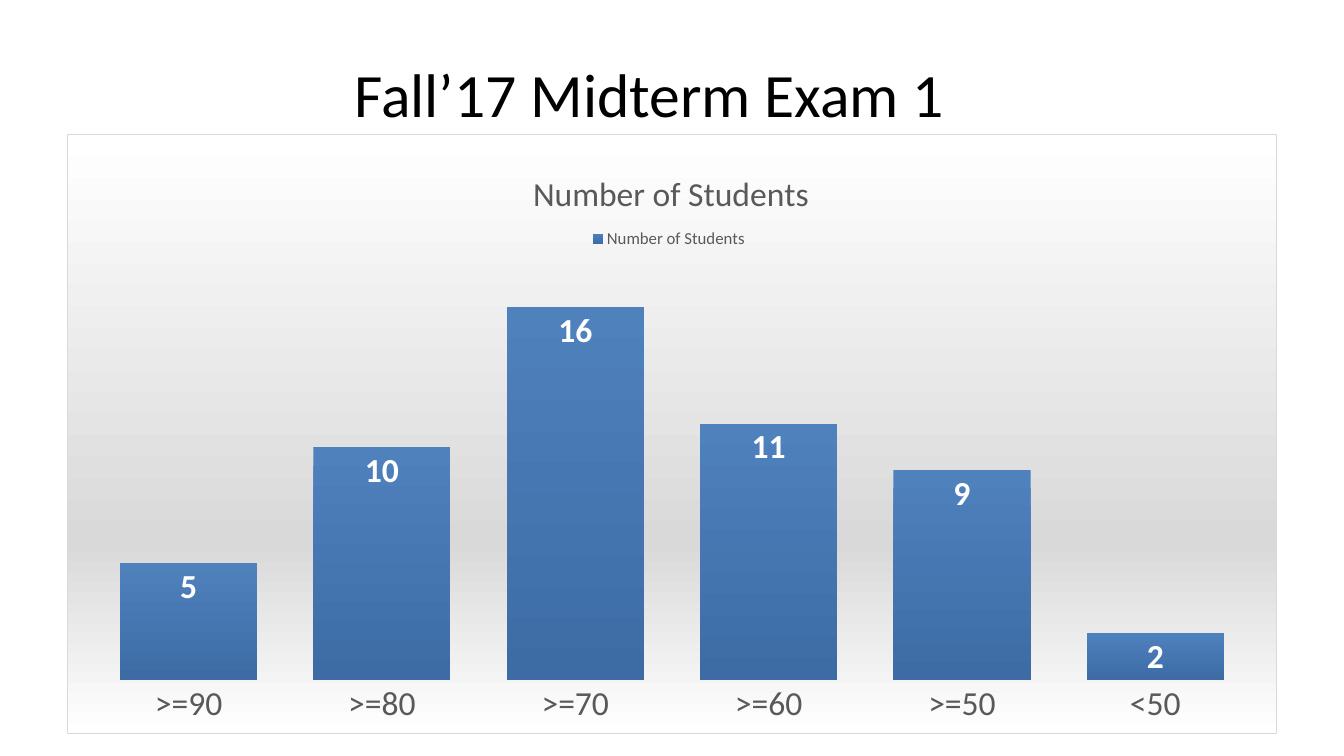
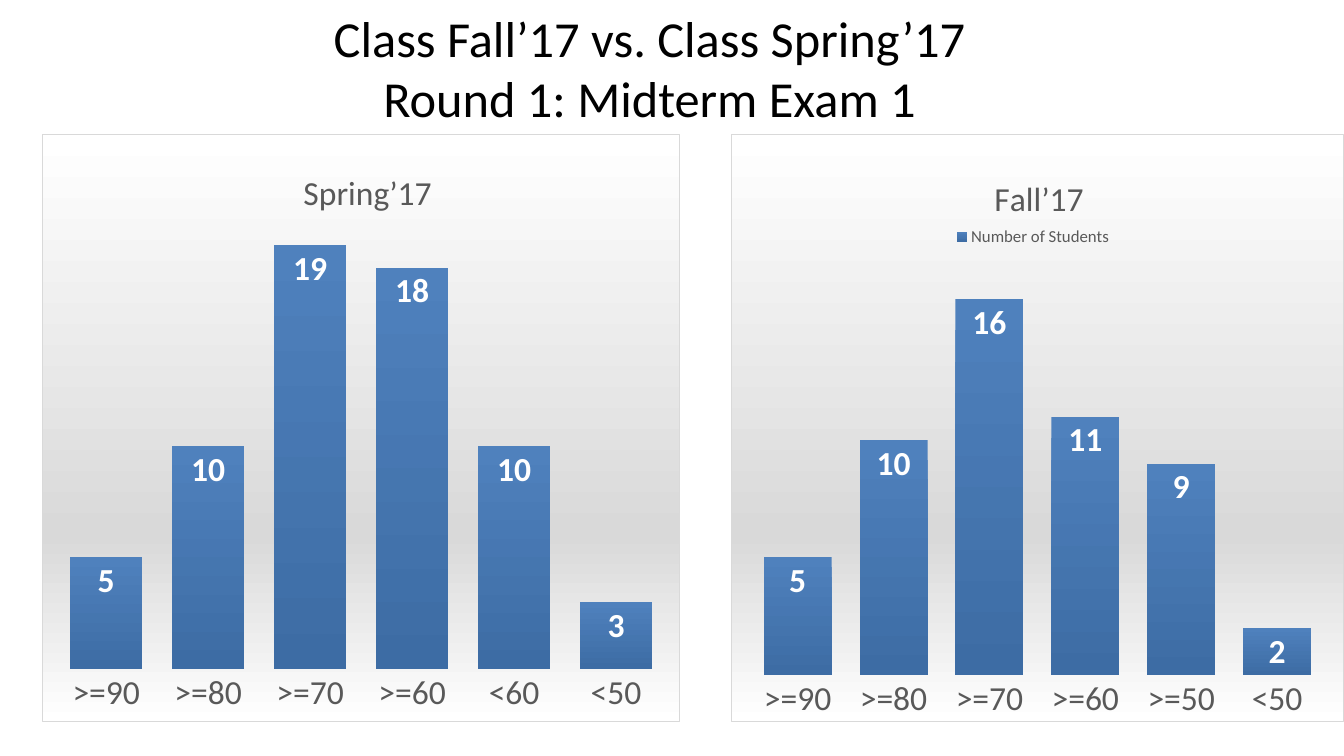
from lxml import etree
from pptx import Presentation
from pptx.chart.data import CategoryChartData
from pptx.dml.color import RGBColor
from pptx.enum.chart import XL_CHART_TYPE as CT, XL_LABEL_POSITION as LP
from pptx.enum.chart import XL_LEGEND_POSITION as LEG, XL_TICK_LABEL_POSITION as TLP, XL_TICK_MARK as TM
from pptx.enum.text import MSO_ANCHOR, MSO_AUTO_SIZE, PP_ALIGN
from pptx.oxml import parse_xml
from pptx.oxml.ns import qn
from pptx.util import Inches, Pt

BLACK = RGBColor(0x00, 0x00, 0x00)
WHITE = RGBColor(0xFF, 0xFF, 0xFF)
GRAY = RGBColor(0x59, 0x59, 0x59)
SILVER = RGBColor(0xD9, 0xD9, 0xD9)
BLUE = RGBColor(0x4F, 0x81, 0xBD)
DEEP_BLUE = RGBColor(0x3D, 0x6C, 0xA4)
FONT = "Calibri"
COLS, ROWS = 160, 90
NS = ('xmlns:c="http://schemas.openxmlformats.org/drawingml/2006/chart" '
      'xmlns:a="http://schemas.openxmlformats.org/drawingml/2006/main"')
STOPS = "".join(f'<a:gs pos="{pos * 1000}"><a:srgbClr val="{color}"/></a:gs>'
                for pos, color in ((0, WHITE), (68, SILVER), (100, WHITE)))
AREA = (f'<c:spPr {NS}><a:gradFill><a:gsLst>{STOPS}</a:gsLst><a:lin ang="5400000" scaled="0"/>'
        f'</a:gradFill><a:ln w="9525"><a:solidFill><a:srgbClr val="{SILVER}"/></a:solidFill></a:ln></c:spPr>')
CLEAR = f'<c:spPr {NS}><a:noFill/><a:ln><a:noFill/></a:ln></c:spPr>'

BANDS = (">=90", ">=80", ">=70", ">=60", ">=50", "<50")
SPRING_BANDS = (">=90", ">=80", ">=70", ">=60", "<60", "<50")
SPRING = (5, 10, 19, 18, 10, 3)
FALL = (5, 10, 16, 11, 9, 2)
COUNT = "Number of Students"

SLIDES = [
    dict(title="Fall’17 Midterm Exam 1", size=44, top=3.6, height=15, charts=[
        dict(box=(8, 16, 144, 71.4), title=COUNT, series=COUNT, bands=BANDS, counts=FALL,
             title_at=(0.38, 0.05), legend_at=(0.43, 0.15), plot_at=(0.02, 0.21, 0.96, 0.7)),
    ]),
    dict(title="Class Fall’17 vs. Class Spring’17\vRound 1: Midterm Exam 1", size=36, top=0, height=16, charts=[
        dict(box=(5, 16, 76, 70), title="Spring’17", series="Series 1", bands=SPRING_BANDS, counts=SPRING,
             title_at=(0.4, 0.05), legend_at=None, plot_at=(0.02, 0.15, 0.96, 0.76)),
        dict(box=(87, 16, 73, 70), title="Fall’17", series=COUNT, bands=BANDS, counts=FALL,
             title_at=(0.42, 0.06), legend_at=(0.36, 0.15), plot_at=(0.03, 0.2, 0.94, 0.72)),
    ]),
]


def write(tf, text, size=24, color=BLACK, bold=False, align=PP_ALIGN.CENTER):
    p = tf.paragraphs[0]
    p.text = text
    p.alignment = align
    for font in [p.font] + [r.font for r in p.runs]:
        font.name, font.size, font.bold = FONT, Pt(size), bold
        font.color.rgb = color


def set_layout(element, at):
    for old in element.findall(qn("c:layout")):
        element.remove(old)
    values = "".join(f'<c:{key} val="{value}"/>' for key, value in zip("xywh", at))
    target = '<c:layoutTarget val="inner"/>' if len(at) == 4 else ""
    layout = parse_xml(f'<c:layout {NS}><c:manualLayout>{target}<c:xMode val="edge"/>'
                       f'<c:yMode val="edge"/>{values}</c:manualLayout></c:layout>')
    overlay = element.find(qn("c:overlay"))
    if overlay is None:
        element.insert(0, layout)
    else:
        overlay.addprevious(layout)


prs = Presentation()
prs.slide_width, prs.slide_height = Inches(13.333), Inches(7.5)
col, row = prs.slide_width / COLS, prs.slide_height / ROWS

for page in SLIDES:
    s = prs.slides.add_slide(prs.slide_layouts[5])
    sp = s.shapes.title
    sp.left, sp.top = int(8 * col), int(page["top"] * row)
    sp.width, sp.height = int(138.7 * col), int(page["height"] * row)
    tf = sp.text_frame
    tf.auto_size = MSO_AUTO_SIZE.NONE
    tf.vertical_anchor = MSO_ANCHOR.MIDDLE
    write(tf, page["title"], size=page["size"])

    for item in page["charts"]:
        data = CategoryChartData()
        data.categories = item["bands"]
        data.add_series(item["series"], item["counts"])
        x, y, w, h = item["box"]
        chart = s.shapes.add_chart(CT.COLUMN_CLUSTERED, int(x * col), int(y * row),
                                   int(w * col), int(h * row), data).chart
        chart.font.size = Pt(10)
        chart.font.color.rgb = BLACK
        chart.has_title = True
        write(chart.chart_title.text_frame, item["title"], color=GRAY)

        chart.has_legend = item["legend_at"] is not None
        if chart.has_legend:
            chart.legend.position = LEG.TOP
            chart.legend.include_in_layout = False
            chart.legend.font.size = Pt(12)
            chart.legend.font.color.rgb = GRAY

        bands = chart.category_axis
        bands.major_tick_mark = bands.minor_tick_mark = TM.NONE
        bands.tick_label_position = TLP.NEXT_TO_AXIS
        bands.tick_labels.font.size = Pt(24)
        bands.tick_labels.font.color.rgb = GRAY
        bands.format.line.fill.background()
        chart.value_axis.visible = False
        chart.value_axis.has_major_gridlines = False
        chart.value_axis.minimum_scale = 0

        plot = chart.plots[0]
        plot.gap_width = 41
        plot.vary_by_categories = False
        bars = plot.series[0]
        fill = bars.format.fill
        fill.gradient()
        fill.gradient_angle = 270
        for stop, color in zip(fill.gradient_stops, (BLUE, DEEP_BLUE)):
            stop.color.rgb = color
        labels = bars.data_labels
        labels.show_value = True
        labels.position = LP.INSIDE_END
        labels.font.name, labels.font.size, labels.font.bold = FONT, Pt(24), True
        labels.font.color.rgb = WHITE

        root = chart.element.find(qn("c:chart"))
        root.addnext(parse_xml(AREA))
        root.find(qn("c:plotArea")).append(parse_xml(CLEAR))
        for tag, key in (("c:title", "title_at"), ("c:legend", "legend_at"), ("c:plotArea", "plot_at")):
            if item[key]:
                set_layout(root.find(qn(tag)), item[key])

prs.save("out.pptx")
